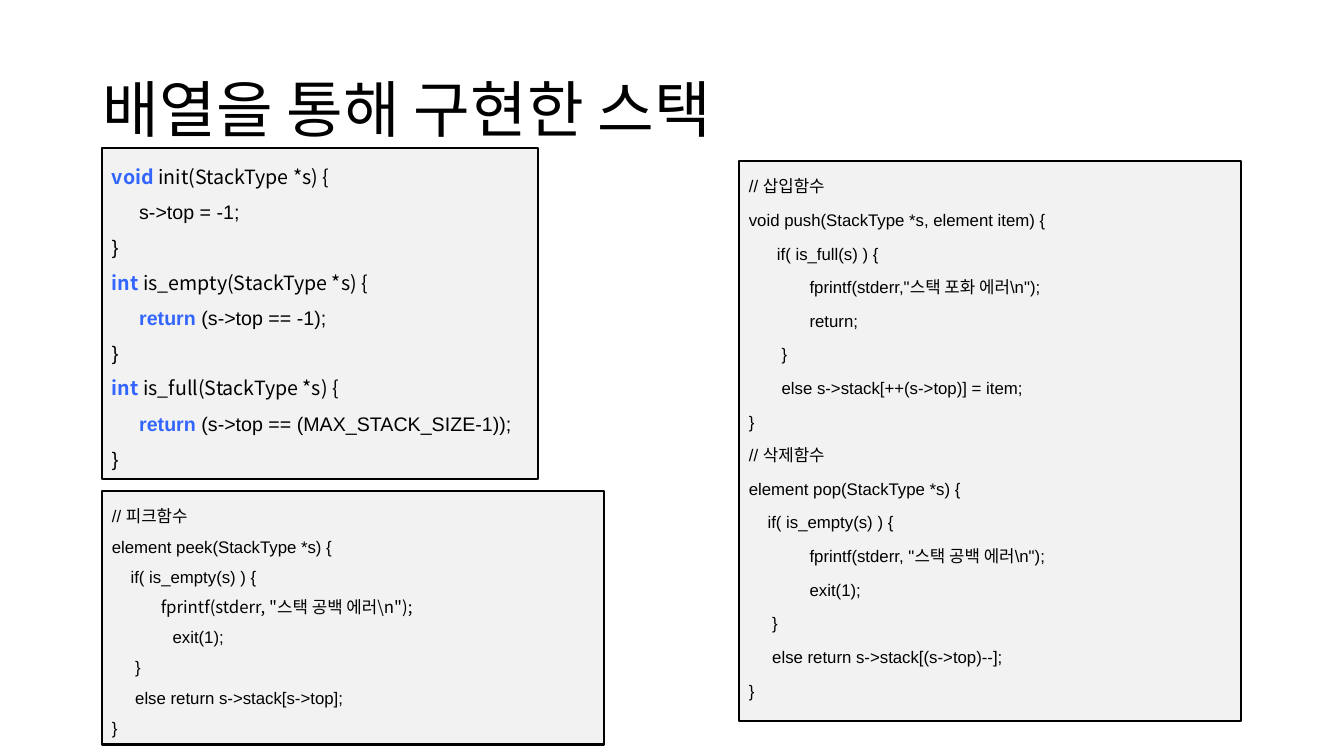
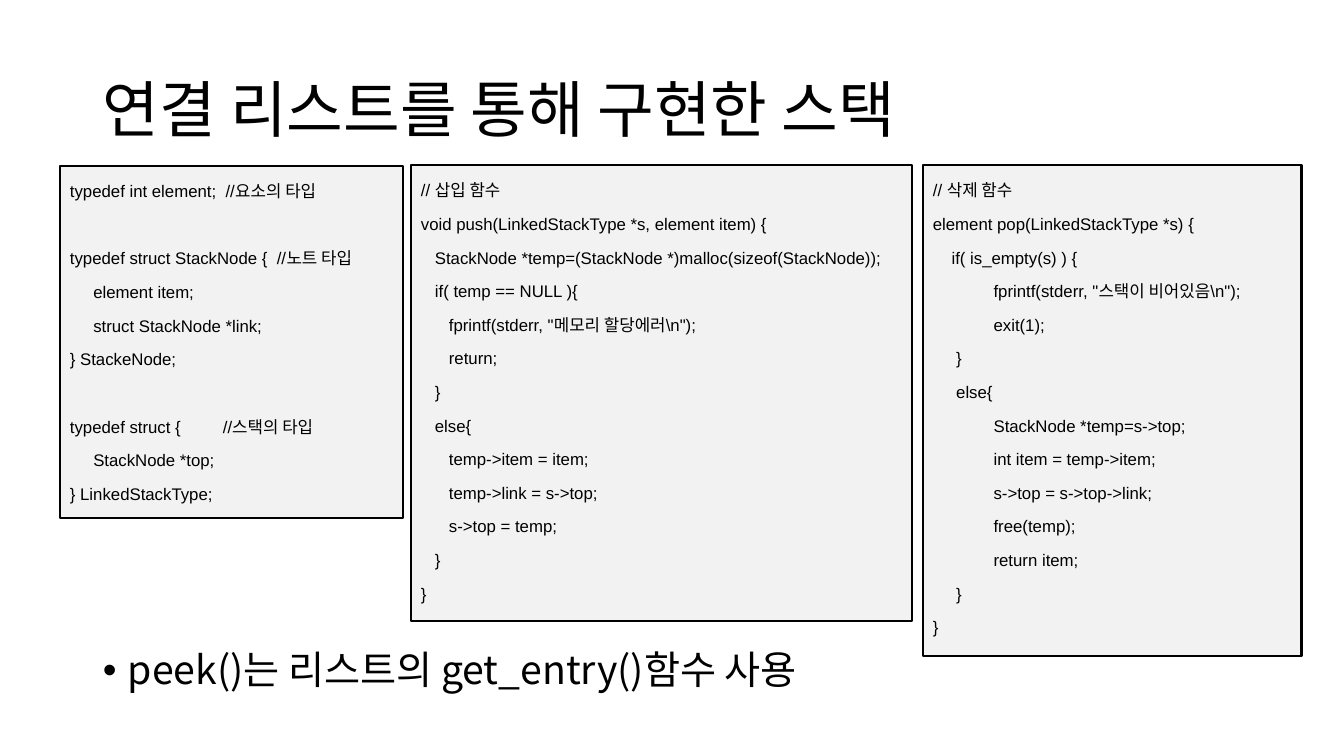
from lxml.etree import SubElement
from pptx import Presentation
from pptx.dml.color import RGBColor
from pptx.enum.shapes import MSO_SHAPE
from pptx.enum.text import MSO_ANCHOR, PP_ALIGN
from pptx.oxml.ns import qn
from pptx.util import Emu, Pt

SCALE = 914400 / 100.8
ARIAL, NOTO = "Arial", "Noto Sans CJK KR"
BLACK, PANEL, KEYWORD = "000000", "F2F2F2", "3366FF"
SPACE_WIDTH = {ARIAL: 0.278, NOTO: 0.224}


def px(n):
    return Emu(round(n * SCALE))


def rgb(color):
    return RGBColor.from_string(color)


class Deck:
    def __init__(self):
        self.prs = Presentation()
        self.prs.slide_width, self.prs.slide_height = px(1344), px(756)
        self.s = None

    def slide(self, title):
        self.s = self.prs.slides.add_slide(self.prs.slide_layouts[6])
        p = self.text_box(93, 40, 1159, 146, MSO_ANCHOR.MIDDLE)
        self.run(p, title, 44, NOTO)

    def text_box(self, x, y, w, h, anchor):
        tf = self.s.shapes.add_textbox(px(x), px(y), px(w), px(h)).text_frame
        tf.word_wrap = True
        tf.vertical_anchor = anchor
        p = tf.paragraphs[0]
        p.line_spacing = 0.9
        return p

    def run(self, p, text, size, font, color=BLACK, bold=False):
        r = p.add_run()
        r.text = text
        r.font.size = Pt(size)
        r.font.name = font
        r.font.bold = bold
        r.font.color.rgb = rgb(color)
        SubElement(r.font._element, qn("a:ea")).set("typeface", NOTO)

    def bullet(self, x, y, w, h, text):
        p = self.text_box(x, y, w, h, MSO_ANCHOR.TOP)
        pPr = p._p.get_or_add_pPr()
        pPr.set("marL", str(px(25)))
        pPr.set("indent", str(-px(25)))
        SubElement(pPr, qn("a:buFont")).set("typeface", ARIAL)
        SubElement(pPr, qn("a:buChar")).set("char", "•")
        self.run(p, text, 28, NOTO)

    def code(self, x, y, w, h, source, size=12, before=2.4, fonts={}, keywords=(), tab=0):
        sp = self.s.shapes.add_shape(MSO_SHAPE.RECTANGLE, px(x), px(y), px(w), px(h))
        sp.shadow.inherit = False
        sp.fill.solid()
        sp.fill.fore_color.rgb = rgb(PANEL)
        sp.line.color.rgb = rgb(BLACK)
        sp.line.width = Pt(2)
        tf = sp.text_frame
        tf.word_wrap = True
        tf.vertical_anchor = MSO_ANCHOR.TOP
        p, skipped = None, 0
        for line in source.strip().split("\n"):
            if not line:
                skipped += 1
                continue
            p = tf.add_paragraph() if p else tf.paragraphs[0]
            p.alignment = PP_ALIGN.LEFT
            p.line_spacing = 1.5
            p.space_before = Pt(before + skipped * size * 2)
            skipped = 0
            body = line.lstrip(" ")
            word, gap, rest = body.partition(" ")
            font = fonts.get(word, ARIAL)
            indent = (len(line) - len(body)) * SPACE_WIDTH[font] * size
            pPr = p._p.get_or_add_pPr()
            pPr.set("marL", str(Pt(indent)))
            if "\t" in body:
                stops = SubElement(pPr, qn("a:tabLst"))
                stop = SubElement(stops, qn("a:tab"))
                stop.set("pos", str(px(tab)))
                stop.set("algn", "l")
            if word in keywords:
                self.run(p, word + gap, size, font, KEYWORD, True)
                self.run(p, rest, size, font)
            else:
                self.run(p, body, size, font)


INIT = r"""
void init(StackType *s) {
     s->top = -1;
}
int is_empty(StackType *s) {
     return (s->top == -1);
}
int is_full(StackType *s) {
     return (s->top == (MAX_STACK_SIZE-1));
}
"""
ARRAY_PUSH_POP = r"""
// 삽입함수
void push(StackType *s, element item) {
      if( is_full(s) ) {
             fprintf(stderr,"스택 포화 에러\n");
             return;
       }
       else s->stack[++(s->top)] = item;
}
// 삭제함수
element pop(StackType *s) {
    if( is_empty(s) ) {
             fprintf(stderr, "스택 공백 에러\n");
             exit(1);
     }
     else return s->stack[(s->top)--];
}
"""
PEEK = r"""
// 피크함수
element peek(StackType *s) {
    if( is_empty(s) ) {
             fprintf(stderr, "스택 공백 에러\n");
             exit(1);
     }
     else return s->stack[s->top];
}
"""
LINKED_TYPES = """
typedef int element;  //요소의 타입

typedef struct StackNode {  //노트 타입
     element item;
     struct StackNode *link;
} StackeNode;

typedef struct {\t//스택의 타입
     StackNode *top;
} LinkedStackType;
"""
LINKED_PUSH = r"""
// 삽입 함수
void push(LinkedStackType *s, element item) {
   StackNode *temp=(StackNode *)malloc(sizeof(StackNode));
   if( temp == NULL ){
      fprintf(stderr, "메모리 할당에러\n");
      return;
   }
   else{
      temp->item = item;
      temp->link = s->top;
      s->top = temp;
   }
}
"""
LINKED_POP = r"""
// 삭제 함수
element pop(LinkedStackType *s) {
    if( is_empty(s) ) {
             fprintf(stderr, "스택이 비어있음\n");
             exit(1);
     }
     else{
             StackNode *temp=s->top;
             int item = temp->item;
             s->top = s->top->link;
             free(temp);
             return item;
     }
}
"""

deck = Deck()
deck.slide("배열을 통해 구현한 스택")
deck.code(102, 148, 436, 331, INIT, size=14, before=0,
          fonts={"void": NOTO, "int": NOTO}, keywords=("void", "int", "return"))
deck.code(739, 161, 502, 560, ARRAY_PUSH_POP)
deck.code(102, 491, 502, 254, PEEK, before=0, fonts={"fprintf(stderr,": NOTO})

deck.slide("연결 리스트를 통해 구현한 스택")
deck.bullet(93, 646, 1159, 62, "peek()는 리스트의 get_entry()함수 사용")
deck.code(60, 166, 343, 352, LINKED_TYPES, tab=153)
deck.code(411, 165, 501, 456, LINKED_PUSH)
deck.code(923, 165, 379, 491, LINKED_POP)

deck.prs.save("out.pptx")
